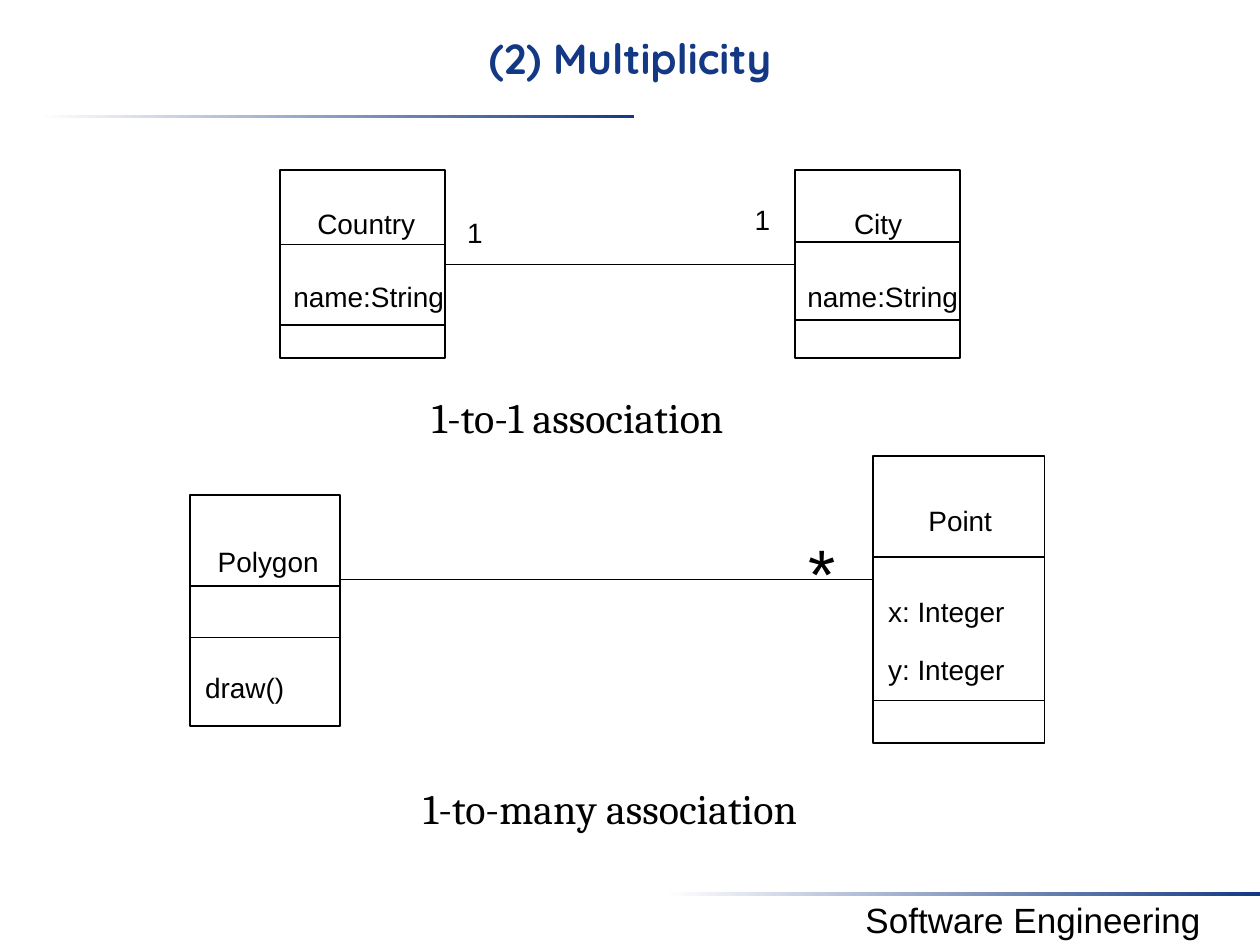
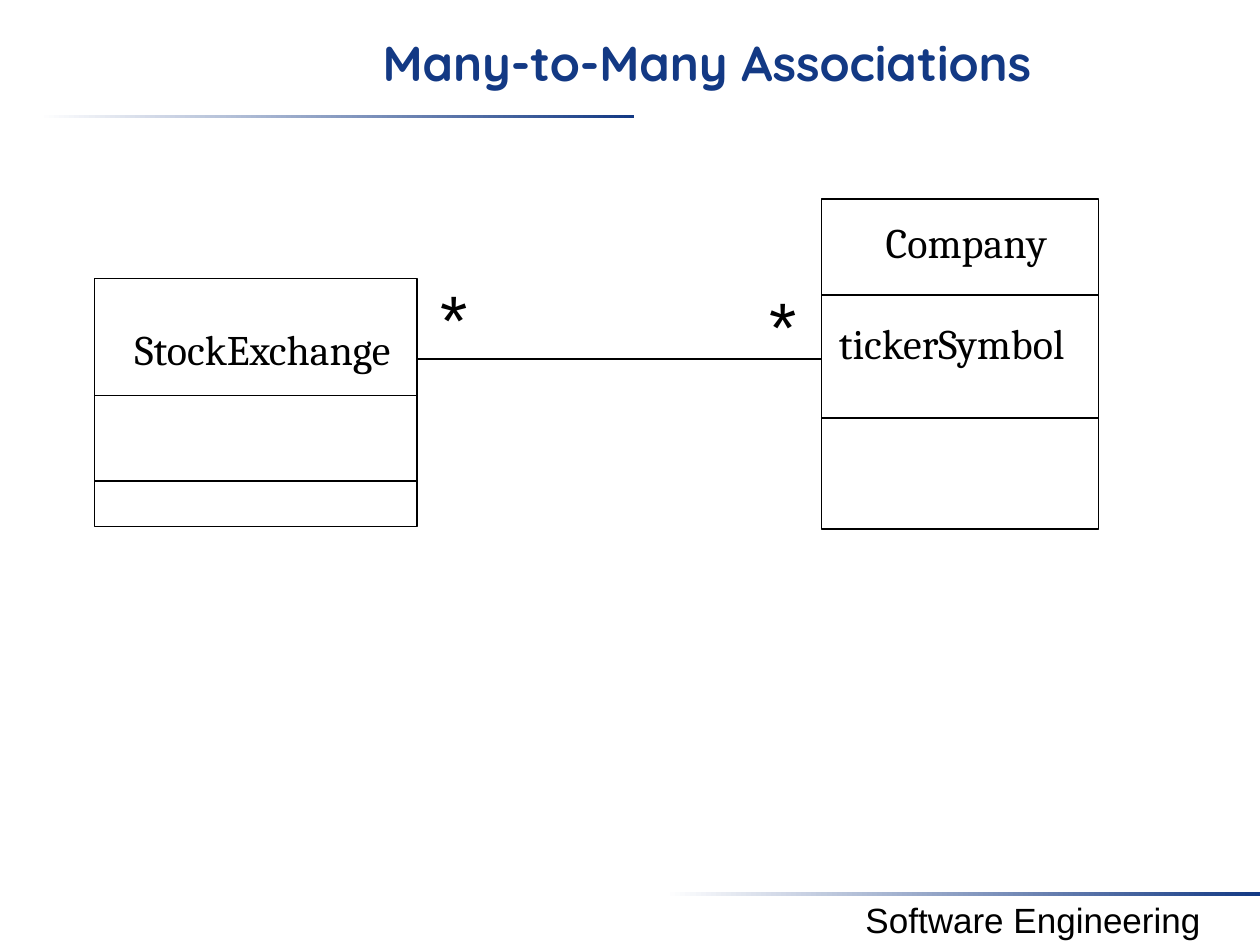
"""Build two slides of class diagrams that explain association multiplicity."""
from dataclasses import dataclass

from lxml.etree import SubElement
from pptx import Presentation
from pptx.dml.color import RGBColor
from pptx.enum.shapes import MSO_CONNECTOR, MSO_SHAPE
from pptx.enum.text import MSO_ANCHOR, MSO_AUTO_SIZE, PP_ALIGN
from pptx.oxml.ns import qn
from pptx.util import Inches, Pt


@dataclass(frozen=True)
class Theme:
    navy: RGBColor = RGBColor(0x13, 0x39, 0x84)
    black: RGBColor = RGBColor(0, 0, 0)
    white: RGBColor = RGBColor(0xFF, 0xFF, 0xFF)
    title_font: str = "Quicksand"
    serif: str = "Cambria"
    sans: str = "Arial"
    small: int = 16
    footer: int = 20
    large: int = 24
    wide_title: int = 28
    star: int = 40
    line: int = 1


theme = Theme()
presentation = Presentation()
presentation.slide_width = Inches(10)
presentation.slide_height = Inches(7.5)
column = presentation.slide_width / 100
row = presentation.slide_height / 75


def add_text(slide, text, left, top, width, font, size, color=theme.black, centered=False):
    height = Pt(1.2 * size) + Inches(0.1)
    shape = slide.shapes.add_textbox(int(left * column), int(top * row), int(width * column), height)
    frame = shape.text_frame
    frame.word_wrap = centered
    frame.auto_size = MSO_AUTO_SIZE.SHAPE_TO_FIT_TEXT
    frame.vertical_anchor = MSO_ANCHOR.TOP
    frame.text = text
    paragraph = frame.paragraphs[0]
    paragraph.alignment = PP_ALIGN.CENTER if centered else PP_ALIGN.LEFT
    paragraph.font.name = font
    paragraph.font.size = Pt(size)
    paragraph.font.color.rgb = color
    return shape


def add_line(slide, start, end, level):
    connector = slide.shapes.add_connector(
        MSO_CONNECTOR.STRAIGHT, int(start * column), int(level * row), int(end * column), int(level * row)
    )
    connector.line.color.rgb = theme.black
    connector.line.width = Pt(theme.line)
    SubElement(connector._element.spPr, qn("a:effectLst"))


slides = [
    {
        "title": ("(2) Multiplicity", 0, theme.large),
        "classes": [
            (22.2, 13.5, 13.1, 14.9, (19.4, 25.8)),
            (63.1, 13.5, 13.1, 14.9, (19.2, 25.4)),
            (15.1, 39.3, 11.9, 18.3, (46.5, 50.6)),
            (69.3, 36.2, 13.6, 22.8, (44.2, 55.6)),
        ],
        "associations": [(0, 1, 21), (2, 3, 46)],
        "labels": {
            (theme.sans, theme.small): [
                ("Country", 24.2, 15.9, 10.5),
                ("name:String", 22.3, 21.7, 14.2),
                ("City", 66.8, 15.9, 6.2),
                ("name:String", 63.1, 21.7, 14.2),
                ("1", 36.1, 16.6, 3.2),
                ("1", 58.9, 15.6, 3.2),
                ("Polygon", 16.3, 42.7, 10.7),
                ("draw()", 15.3, 52.7, 8.3),
                ("Point", 72.7, 39.5, 7.5),
                ("x: Integer", 69.5, 46.7, 11.8),
                ("y: Integer", 69.5, 51.3, 11.8),
            ],
            (theme.sans, theme.star): [("*", 63.2, 41.5, 4.1)],
            (theme.serif, theme.large): [
                ("1-to-1 association", 33.3, 30.6, 26.7),
                ("1-to-many association", 32.6, 61.6, 33),
            ],
        },
    },
    {
        "title": ("Many-to-Many Associations ", 13.3, theme.wide_title),
        "classes": [
            (7.5, 22.1, 25.6, 19.7, (31.4, 38.2)),
            (65.2, 15.8, 22, 26.2, (23.4, 33.2)),
        ],
        "associations": [(0, 1, 28.5)],
        "labels": {
            (theme.serif, theme.large): [
                ("StockExchange", 9.7, 25.2, 23.8),
                ("Company", 69.3, 16.7, 15.9),
                ("tickerSymbol", 65.6, 24.7, 21.1),
            ],
            (theme.sans, theme.star): [("*", 60.1, 21.9, 4.1), ("*", 34, 21.4, 4.1)],
        },
    },
]

for content in slides:
    slide = presentation.slides.add_slide(presentation.slide_layouts[6])

    for left, top in [(3.1, 9.1), (52.8, 70.8)]:
        band = slide.shapes.add_shape(
            MSO_SHAPE.RECTANGLE, int(left * column), int(top * row), int(47.2 * column), int(0.3 * row)
        )
        band.shadow.inherit = False
        band.line.fill.background()
        band.fill.gradient()
        band.fill.gradient_angle = 0
        for stop, color in zip(band.fill.gradient_stops, (theme.white, theme.navy)):
            stop.color.rgb = color
    add_text(slide, "Software Engineering", 64, 70.8, 36, theme.sans, theme.footer, centered=True)

    title, left, size = content["title"]
    heading = add_text(slide, title, left, 2, 100 - left, theme.title_font, size, theme.navy, True)
    heading.text_frame.paragraphs[0].font.bold = True
    heading.text_frame.auto_size = MSO_AUTO_SIZE.NONE
    heading.text_frame.margin_top = Inches(0.06)
    heading.height = int(7.5 * row)

    for left, top, width, height, dividers in content["classes"]:
        box = slide.shapes.add_shape(
            MSO_SHAPE.RECTANGLE, int(left * column), int(top * row), int(width * column), int(height * row)
        )
        box.shadow.inherit = False
        box.fill.background()
        box.line.color.rgb = theme.black
        box.line.width = Pt(theme.line)
        for level in dividers:
            add_line(slide, left, left + width, level)

    for source, target, level in content["associations"]:
        left, _, width, _, _ = content["classes"][source]
        add_line(slide, left + width, content["classes"][target][0], level)

    for (font, size), labels in content["labels"].items():
        for text, left, top, width in labels:
            add_text(slide, text, left, top, width, font, size)

presentation.save("out.pptx")
